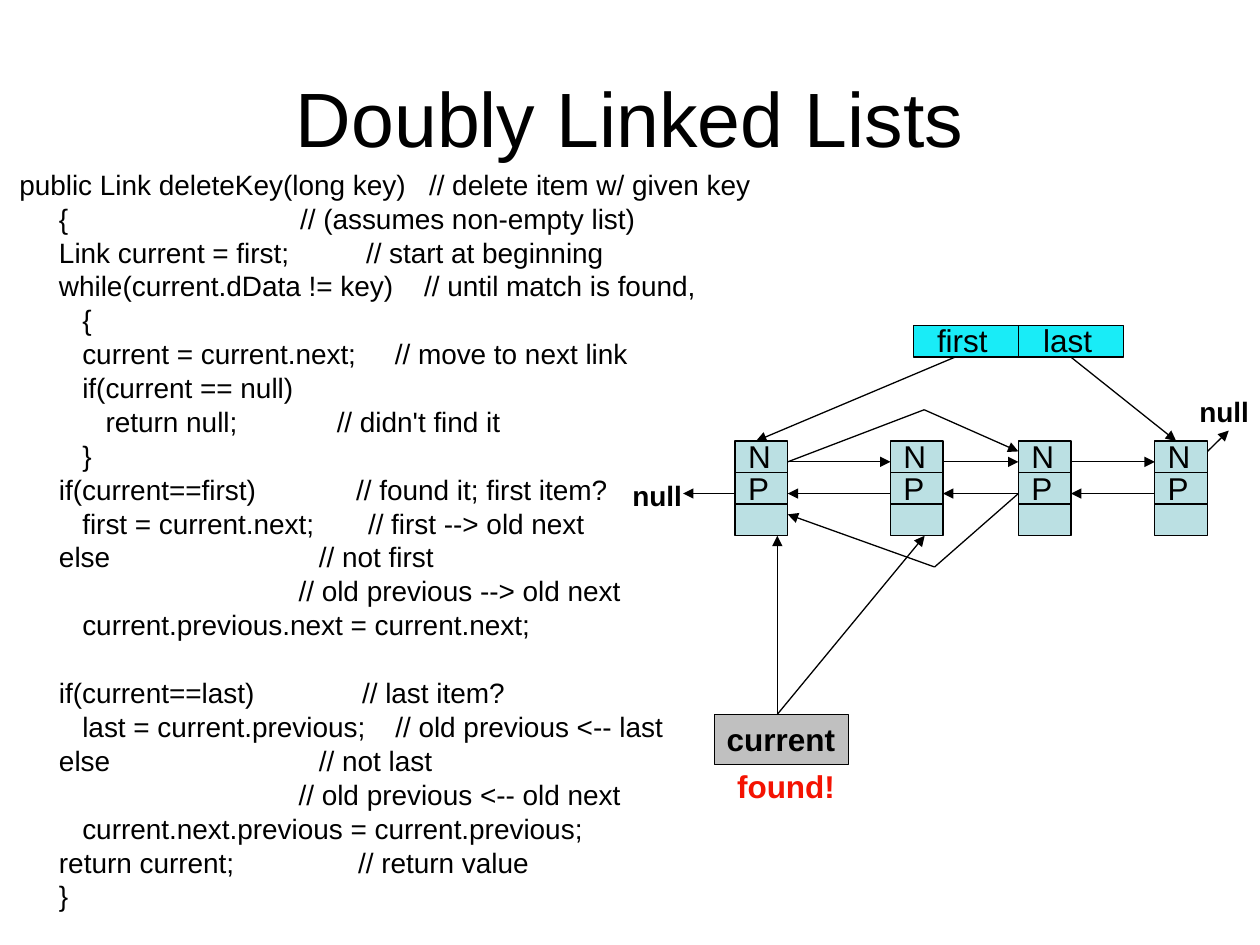
from lxml.etree import SubElement as Sub
from pptx import Presentation
from pptx.dml.color import RGBColor as RGB
from pptx.enum.shapes import MSO_CONNECTOR as LINE, MSO_SHAPE as SHAPE
from pptx.enum.text import MSO_ANCHOR as ANCHOR, PP_ALIGN as ALIGN
from pptx.oxml.ns import qn
from pptx.util import Cm, Pt

HUE = {"ink": "000000", "node": "BBE0E3", "ends": "19ECF7",
       "box": "C0C0C0", "found": "F41302"}
FORMS = {
    "title": {"name": "Arial", "size": Pt(44)},
    "code": {"name": "Arial", "size": Pt(16)},
    "label": {"name": "Arial", "size": Pt(18)},
    "null": {"name": "Arial", "size": Pt(16), "bold": True},
    "strong": {"name": "Arial", "size": Pt(18), "bold": True},
}

deck = Presentation()
deck.slide_width, deck.slide_height = Cm(25.4), Cm(19.05)
slide = deck.slides.add_slide(deck.slide_layouts[6])


def put(home, text, area, form, hue="ink", fill=None):
    """Add a text box, or a filled and outlined box when fill is given."""
    spot = [Cm(v) for v in area]
    if fill:
        box = home.add_shape(SHAPE.RECTANGLE, *spot)
        box.shadow.inherit = False
        box.fill.solid()
        box.fill.fore_color.rgb = RGB.from_string(HUE[fill])
        box.line.color.rgb = RGB.from_string(HUE["ink"])
        box.line.width = Pt(0.75)
    else:
        box = home.add_textbox(*spot)
    frame = box.text_frame
    frame.word_wrap = form in ("title", "code")
    if not frame.word_wrap:
        frame.margin_right = 0  # room for the whole word on one line
    frame.vertical_anchor = ANCHOR.MIDDLE if form == "title" else ANCHOR.TOP
    frame.text = text
    for para in frame.paragraphs:
        para.alignment = ALIGN.CENTER if form == "title" else ALIGN.LEFT
        para.font.color.rgb = RGB.from_string(HUE[hue])
        for key, value in FORMS[form].items():
            setattr(para.font, key, value)
    return box


def link(home, ends, head=True):
    """Draw a thin line, with an arrowhead at its far end if head is set."""
    line = home.add_connector(LINE.STRAIGHT, *[Cm(v) for v in ends])
    line.line.color.rgb = RGB.from_string(HUE["ink"])
    line.line.width = Pt(0.75)
    if head:
        Sub(line.line._get_or_add_ln(), qn("a:tailEnd"), type="triangle")
    Sub(line._element.spPr, qn("a:effectLst"))


# Code: nesting level, statement, comment, comment column in cm
CODE = [
    (0, "public Link deleteKey(long key)", "// delete item w/ given key", 8.4),
    (1, "{", "// (assumes non-empty list)", 5.8),
    (1, "Link current = first;", "// start at beginning", 7.13),
    (1, "while(current.dData != key)", "// until match is found,", 8.3),
    (2, "{", "", 0),
    (2, "current = current.next;", "// move to next link", 7.71),
    (2, "if(current == null)", "", 0),
    (3, "return null;", "// didn't find it", 6.54),
    (2, "}", "", 0),
    (1, "if(current==first)", "// found it; first item?", 6.93),
    (2, "first = current.next;", "// first --> old next", 7.17),
    (1, "else", "// not first", 6.18),
    (0, "", "// old previous --> old next", 5.77),
    (2, "current.previous.next = current.next;", "", 0),
    (1, "if(current==last)", "// last item?", 7.05),
    (2, "last = current.previous;", "// old previous <-- last", 7.72),
    (1, "else", "// not last", 6.18),
    (0, "", "// old previous <-- old next", 5.77),
    (2, "current.next.previous = current.previous;", "", 0),
    (1, "return current;", "// return value", 6.97),
    (1, "}", "", 0),
]
INDENT = [0.14, 0.94, 1.41, 1.88]

rows = ["\t".join(filter(None, row[1:3])) for row in CODE]
code = put(slide.shapes, "\n".join(rows), (0, 3.38, 22.86, 15.67), "code")
for para, (level, left, note, col) in zip(code.text_frame.paragraphs, CODE):
    para.line_spacing = 0.8
    para.space_before = Pt(23.4 if "==last" in left else 4)
    edge = col or INDENT[level]
    start = INDENT[level] if left else edge
    props = para._p.get_or_add_pPr()
    props.set("marL", str(Cm(edge)))
    props.set("indent", str(Cm(start) - Cm(edge)))
    if left and note:
        tabs = Sub(props, qn("a:tabLst"))
        for stop in (0, edge):
            Sub(tabs, qn("a:tab"), pos=str(Cm(stop)), algn="l")
        props.remove(tabs)
        props.insert_element_before(tabs, "a:defRPr", "a:extLst")

put(slide.shapes, "Doubly Linked Lists", (1.27, 0.76, 22.86, 3.18), "title")

# Nodes: a next row, a previous row and a data row
NODES = [14.82, 17.95, 20.53, 23.28]
WIDE, TOP, ROW = 1.06, 8.89, 0.635
NEXT, PREV = 9.31, 9.95
for x in NODES:
    node = slide.shapes.add_group_shape().shapes
    put(node, "", (x, TOP, WIDE, 3 * ROW), "label", fill="node")
    for i, name in enumerate("NP"):
        y = TOP + (i + 1) * ROW
        link(node, (x, y, x + WIDE, y), head=False)
        put(node, name, (x + 0.01, TOP - 0.2 + i * ROW, 0.95, 1.02), "label")

for a, b in zip(NODES, NODES[1:]):
    link(slide.shapes, (a + WIDE, NEXT, b, NEXT))
    link(slide.shapes, (b, PREV, a + WIDE, PREV))

# List header
put(slide.shapes, "", (18.42, 6.56, 4.23, 0.64), "label", fill="ends")
link(slide.shapes, (20.53, 6.56, 20.53, 7.2), head=False)
put(slide.shapes, "first", (18.64, 6.35, 1.55, 1.02), "label")
put(slide.shapes, "last", (20.78, 6.35, 1.5, 1.02), "label")

for x, y in [(12.5, 9.53), (23.93, 7.82)]:
    put(slide.shapes, "null", (x, y, 1.5, 0.94), "null")
put(slide.shapes, "current", (14.4, 14.4, 2.7, 1.02), "strong", fill="box")
put(slide.shapes, "found!", (14.61, 15.34, 2.5, 1.02), "strong", "found")

ARROWS = [
    (19.25, 7.2, 15.24, TOP),    # first
    (21.59, 7.2, 23.71, TOP),    # last
    (14.82, PREV, 13.77, PREV),  # null before
    (24.34, 9.1, 24.77, 8.68),   # null after
    (15.67, 14.4, 15.67, 10.8),  # current at the start
    (15.67, 14.4, 18.64, 10.8),  # current once found
]
for ends in ARROWS:
    link(slide.shapes, ends)

# Bypasses around the deleted node
BENDS = [
    [(15.88, NEXT), (18.63, 8.26), (20.53, 9.1)],
    [(20.53, PREV), (18.84, 11.43), (15.88, 10.37)],
]
for begin, bend, end in BENDS:
    link(slide.shapes, begin + bend, head=False)
    link(slide.shapes, bend + end)

deck.save("out.pptx")
